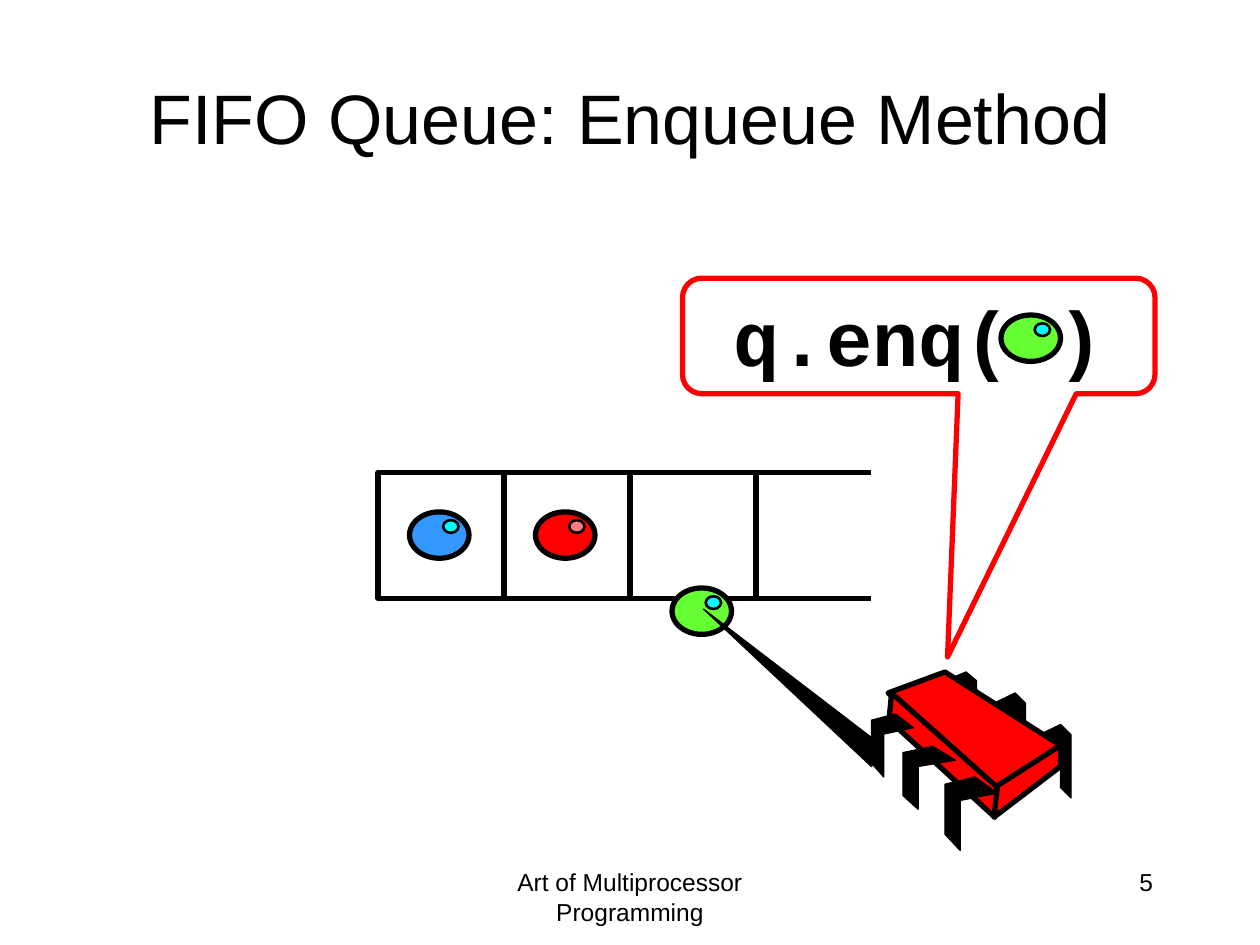
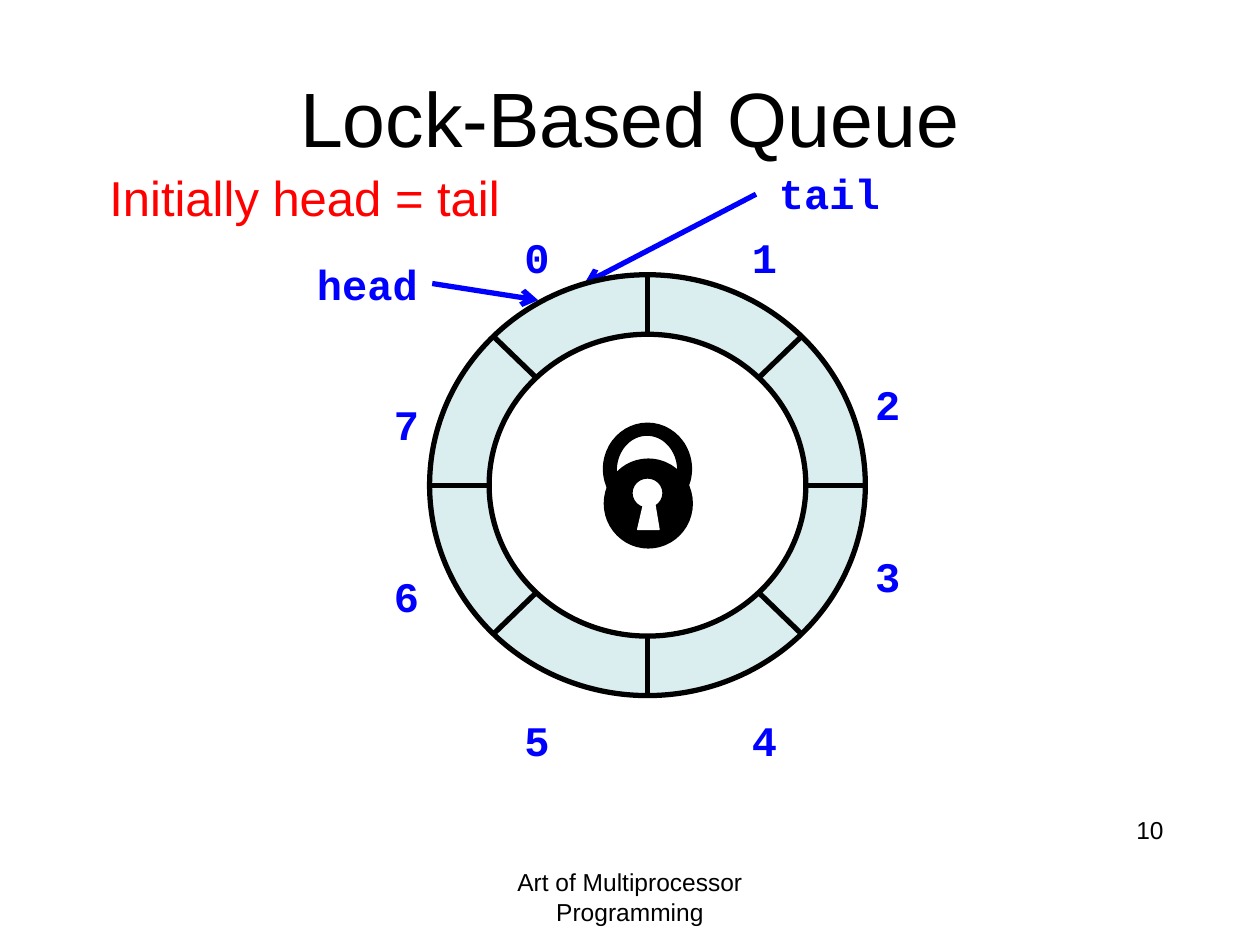
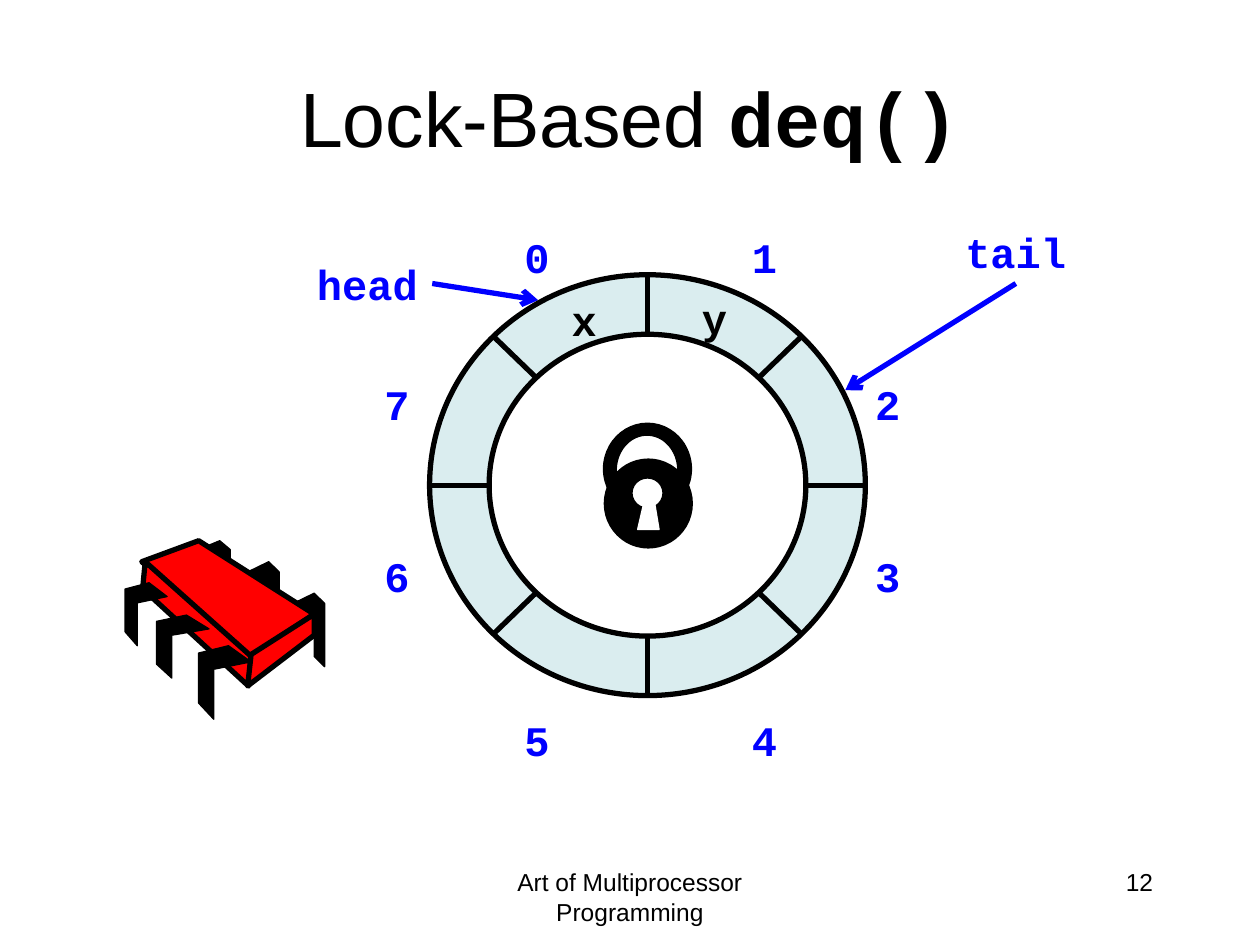
"""Builds three slides on FIFO queues and the lock-based circular queue."""
import math

from lxml import etree
from pptx import Presentation
from pptx import util as u
from pptx.dml.color import RGBColor
from pptx.enum import shapes as kinds, text as txt
from pptx.oxml.ns import qn

COLORS = {
    "black": "000000", "white": "FFFFFF", "red": "FF0000", "blue": "0000FF",
    "sky": "3399FF", "cyan": "00FFFF", "green": "66FF33", "pink": "FF7C80",
    "ring": "DAEDEF",
}
SANS, MONO = "Arial", "Courier New"
RULE = 3
CENTER, LEFT, RIGHT = txt.PP_ALIGN.CENTER, txt.PP_ALIGN.LEFT, txt.PP_ALIGN.RIGHT
OVAL = kinds.MSO_SHAPE.OVAL

BACK_PIN = [(0, .14), (.67, 0), (1, .14), (1, 1), (.67, .86), (.67, .29), (0, .43)]
FRONT_PIN = [(.57, 0), (1, .22), (.29, .32), (.29, 1), (0, .78), (0, .1)]
BACK_PIN_BOXES = [(96, 30, 18, 42), (70, 12, 18, 42), (42, 0, 18, 36)]
FRONT_PIN_BOXES = [(42, 60, 30, 42), (18, 42.5, 30, 36), (0, 24, 24, 36)]
CHIP_FACES = [
    [(42, 0), (108, 42), (70.5, 67), (9.5, 12)],
    [(11.5, 12), (72, 66), (70.5, 83), (10, 27.5)],
    [(108, 42), (108, 54), (70, 83), (72, 65)],
]
RING_BOX = (245.5, 157, 249, 240.5)


def rgb(name):
    """Return the named colour."""
    return RGBColor.from_string(COLORS[name])


def paint(shape, fill, line, width):
    """Give a shape its fill and outline and remove its shadow."""
    shape.shadow.inherit = False
    if fill:
        shape.fill.solid()
        shape.fill.fore_color.rgb = rgb(fill)
    else:
        shape.fill.background()
    shape.line.color.rgb = rgb(line)
    shape.line.width = u.Pt(width)
    return shape


def preset(canvas, kind, box, fill=None, line="black", width=RULE):
    """Draw a preset shape in a box."""
    return paint(canvas.add_shape(kind, *map(u.Pt, box)), fill, line, width)


def polygon(canvas, origin, points, fill="black", line="black", width=.75):
    """Draw a closed outline whose points are relative to the origin."""
    left, top = origin
    corners = [(u.Pt(left + x), u.Pt(top + y)) for x, y in points]
    builder = canvas.build_freeform(*corners[0])
    builder.add_line_segments(corners[1:], close=True)
    return paint(builder.convert_to_shape(), fill, line, width)


def segment(canvas, start, end, color="black", arrow=False):
    """Draw a straight line, with an arrowhead at its end if wanted."""
    rule = canvas.add_connector(kinds.MSO_CONNECTOR.STRAIGHT, *map(u.Pt, (*start, *end)))
    rule.line.color.rgb = rgb(color)
    rule.line.width = u.Pt(RULE)
    if arrow:
        etree.SubElement(rule.line._get_or_add_ln(), qn("a:tailEnd"), type="arrow")
    etree.SubElement(rule._element.spPr, qn("a:effectLst"))


def style(font, size, color, face, bold):
    """Set the look of a font."""
    font.size, font.name, font.bold = u.Pt(size), face, bold
    font.color.rgb = rgb(color)


def write(frame, words, size, color="black", face=SANS, bold=False, align=CENTER):
    """Write one paragraph into a text frame."""
    paragraph = frame.paragraphs[0]
    paragraph.text = words
    paragraph.alignment = align
    style(paragraph.font, size, color, face, bold)
    return paragraph


def textbox(canvas, box, words, size, wrap=True, **look):
    """Add a text box holding one paragraph."""
    frame = canvas.add_textbox(*map(u.Pt, box)).text_frame
    frame.word_wrap = wrap
    if not wrap:
        frame.auto_size = txt.MSO_AUTO_SIZE.SHAPE_TO_FIT_TEXT
    return frame, write(frame, words, size, **look)


def code_label(canvas, left, top, words, color="blue"):
    """Add a bold code label that is as wide as its words."""
    box = (left, top, 15 + 14.5 * len(words), 36)
    textbox(canvas, box, words, 24, wrap=False, color=color, face=MONO, bold=True, align=LEFT)


def base_slide(deck, title, number, title_size=44, code="", number_at=(516, 492)):
    """Add a slide with footer, number and title and return its shapes."""
    canvas = deck.slides.add_slide(deck.slide_layouts[6]).shapes
    textbox(canvas, (246, 492, 228, 36), "Art of Multiprocessor Programming", 14)
    textbox(canvas, (*number_at, 150, 36), str(number), 14, align=RIGHT)
    frame, heading = textbox(canvas, (36, 21.5, 648, 90), title, title_size)
    frame.vertical_anchor = txt.MSO_ANCHOR.MIDDLE
    if code:
        run = heading.add_run()
        run.text = code
        run.font.name, run.font.bold = MONO, True
    return canvas


def ball(canvas, origin, fill, shine="cyan"):
    """Draw a queue item with its highlight."""
    left, top = origin
    item = canvas.add_group_shape().shapes
    preset(item, OVAL, (left, top, 34, 26.5), fill)
    preset(item, OVAL, (left + 19.25, top + 4.75, 8.75, 7.25), shine, width=1.5)


def chip(canvas, origin):
    """Draw a processor chip with its pins."""
    left, top = origin
    parts = canvas.add_group_shape().shapes

    def pins(outline, boxes):
        """Fit one pin outline into each box."""
        for x, y, width, height in boxes:
            points = [(fx * width, fy * height) for fx, fy in outline]
            polygon(parts, (left + x, top + y), points)

    pins(BACK_PIN, BACK_PIN_BOXES)
    for face in CHIP_FACES:
        polygon(parts, origin, face, "red", width=RULE)
    pins(FRONT_PIN, FRONT_PIN_BOXES)


def open_queue(canvas, origin, cell=72, cells=3):
    """Draw a row of cells that stays open on the right, with two items."""
    left, top = origin
    for i in range(cells):
        preset(canvas, kinds.MSO_SHAPE.RECTANGLE, (left + i * cell, top, cell, cell))
    open_end = left + cells * cell - 6
    for y in (top, top + cell):
        segment(canvas, (open_end, y), (open_end + cell, y))
    for i, (fill, shine) in enumerate([("sky", "cyan"), ("red", "pink")]):
        ball(canvas, (left + 18 + i * cell, top + 22.5), fill, shine)


def enq_call(canvas, box):
    """Draw the speech bubble with the enqueue call and its argument."""
    bubble = preset(canvas, kinds.MSO_SHAPE.ROUNDED_RECTANGULAR_CALLOUT, box, line="red")
    for i, value in enumerate((.061, 2.78, .167)):
        bubble.adjustments[i] = value
    bubble.text_frame.vertical_anchor = txt.MSO_ANCHOR.MIDDLE
    write(bubble.text_frame, "q.enq( )", 44, face=MONO, bold=True)
    ball(canvas, (box[0] + 182, box[1] + 21), "green")


def ring(canvas, box, slots=8, band=34):
    """Draw the circular array, divided into equal slots."""
    left, top, width, height = box
    center_x, center_y = left + width / 2, top + height / 2
    parts = canvas.add_group_shape().shapes
    preset(parts, OVAL, box, "ring")
    for i in range(slots // 2):
        angle = 2 * math.pi * i / slots
        dx, dy = width / 2 * math.cos(angle), height / 2 * math.sin(angle)
        segment(parts, (center_x - dx, center_y - dy), (center_x + dx, center_y + dy))
    inner = (left + band, top + band, width - 2 * band, height - 2 * band)
    preset(parts, OVAL, inner, "white")


def padlock(canvas, origin):
    """Draw a padlock with a keyhole."""
    left, top = origin
    parts = canvas.add_group_shape().shapes
    for x, y, width, height, fill in [
        (0, 0, 50, 52, "black"), (7, 6.5, 35.5, 40.5, "white"),
        (.5, 20.5, 50, 50.5, "black"), (16, 31, 18, 17.5, "white"),
    ]:
        preset(parts, OVAL, (left + x, top + y, width, height), fill, width=1)
    slot = [(19.5, 60.5), (23, 45.5), (29, 45.5), (31.5, 60.5)]
    polygon(parts, origin, slot, "white", "white", 1)


def circular_queue(canvas, box, tail_at, tail_arrow, left_digits, items=()):
    """Draw the locked ring with slot numbers, pointers and stored items."""
    left, top = box[:2]

    def place(point):
        """Move a point from the box to the slide."""
        return left + point[0], top + point[1]

    digits_x, digits_y = left_digits
    digit_spots = [(47, -28), (177, -28), (247.5, 55.5), (247.5, 154),
                   (177, 247.5), (47, 247.5), (digits_x, digits_y + 98.5), left_digits]
    for number, spot in enumerate(digit_spots):
        code_label(canvas, *place(spot), str(number))
    pointers = [("head", (-71.5, -13), ((1.5, 5), (62, 14.5))),
                ("tail", tail_at, tail_arrow)]
    for name, spot, (start, end) in pointers:
        code_label(canvas, *place(spot), name)
        segment(canvas, place(start), place(end), "blue", arrow=True)
    ring(canvas, box)
    for item, spot in items:
        code_label(canvas, *place(spot), item, "black")
    padlock(canvas, place((99.5, 85)))


def enqueue_slide(deck):
    """Build the slide on the enqueue method."""
    canvas = base_slide(deck, "FIFO Queue: Enqueue Method", 5, title_size=40)
    open_queue(canvas, (216, 270))
    ball(canvas, (384, 336), "green")
    chip(canvas, (498, 384))
    polygon(canvas, (402, 348), [(96, 90), (102, 78), (0, 0)])
    enq_call(canvas, (390, 159, 270, 66))


def initial_slide(deck):
    """Build the slide on the empty lock-based queue."""
    canvas = base_slide(deck, "Lock-Based Queue", 10, number_at=(522, 462))
    textbox(canvas, (40.5, 92, 267, 41), "Initially head = tail", 28, color="red")
    circular_queue(canvas, RING_BOX, (192.5, -65), ((186.5, -46), (88.5, 5)), (-27.5, 67))


def deq_slide(deck):
    """Build the slide on the lock-based dequeue."""
    canvas = base_slide(deck, "Lock-Based ", 12, code="deq()")
    chip(canvas, (71.5, 309))
    circular_queue(canvas, RING_BOX, (299, -31), ((335, 5), (237.5, 66)), (-33, 55.5),
                   [("x", (74, 8)), ("y", (148.5, 6.5))])


def main():
    """Build and save the deck."""
    deck = Presentation()
    deck.slide_width, deck.slide_height = u.Pt(720), u.Pt(540)
    for build in (enqueue_slide, initial_slide, deq_slide):
        build(deck)
    deck.save("out.pptx")


if __name__ == "__main__":
    main()
